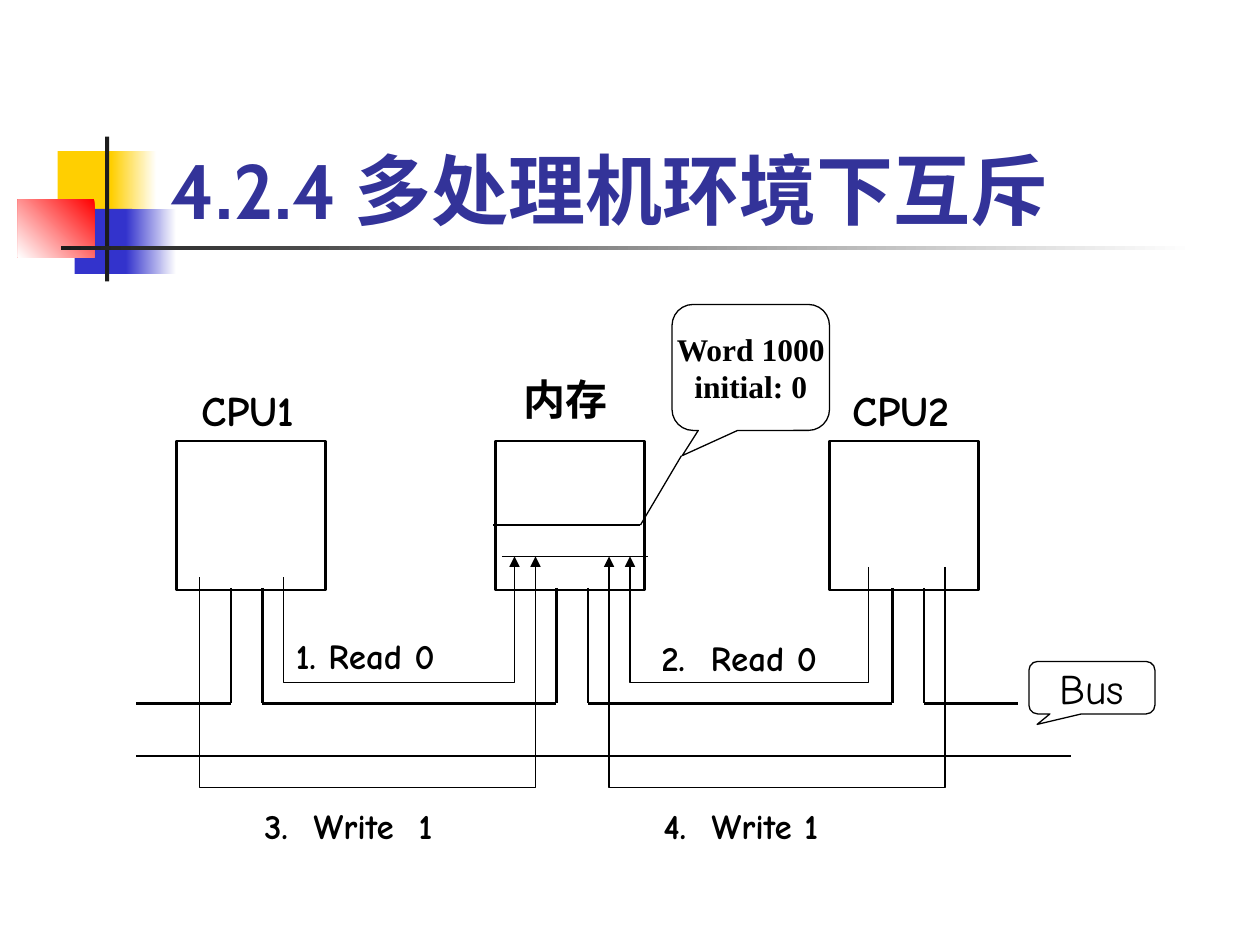
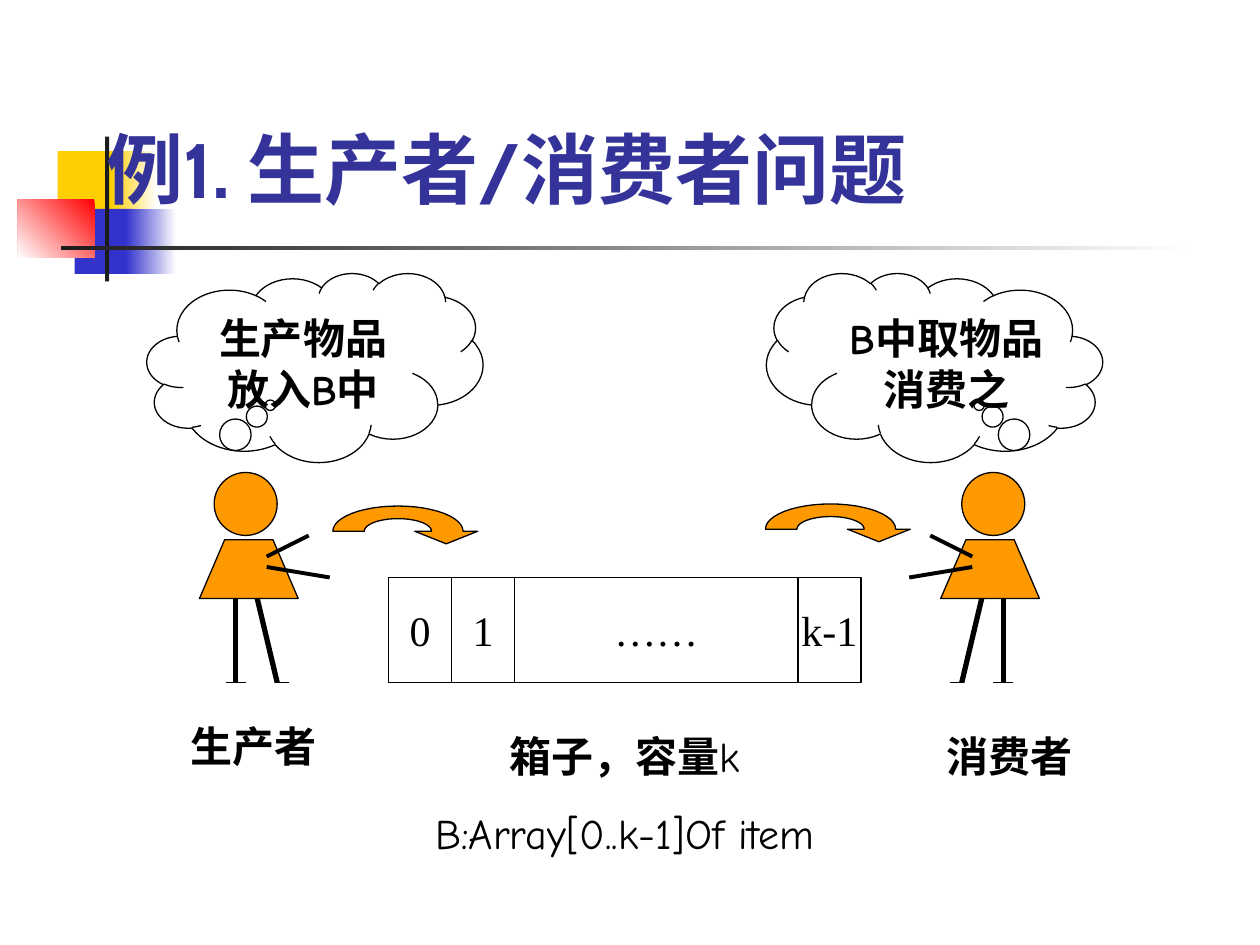
from dataclasses import dataclass
from math import cos, pi, sin

from lxml.etree import SubElement
from pptx import Presentation
from pptx.dml.color import RGBColor
from pptx.enum.shapes import MSO_CONNECTOR, MSO_SHAPE
from pptx.enum.text import MSO_ANCHOR, PP_ALIGN
from pptx.oxml.ns import qn
from pptx.util import Pt

PX = 7620  # EMU per px, 120 px to the inch
BLACK = RGBColor(0x00, 0x00, 0x00)
WHITE = RGBColor(0xFF, 0xFF, 0xFF)
INK = RGBColor(0x1C, 0x1C, 0x1C)
YELLOW = RGBColor(0xFF, 0xCF, 0x01)
BLUE = RGBColor(0x33, 0x33, 0xCC)
RED = RGBColor(0xFF, 0x00, 0x00)
TITLE_COLOUR = RGBColor(0x33, 0x33, 0x99)
ORANGE = RGBColor(0xFF, 0x99, 0x00)
COMIC = "Comic Neue"
TIMES = "Times New Roman"
THIN, BUS, BOX, ARM, LEG = 0.75, 1.25, 1.5, 2.25, 3


@dataclass(frozen=True)
class Area:
    left: int
    top: int
    width: int
    height: int

    def emu(self) -> list[int]:
        return [v * PX for v in (self.left, self.top, self.width, self.height)]


@dataclass(frozen=True)
class Span:
    text: str
    size: int = 24
    name: str = COMIC
    bold: bool = True
    colour: RGBColor = BLACK


@dataclass(frozen=True)
class Motif:
    """One piece of the title decoration; fades to white when angle is given."""
    area: Area
    colour: RGBColor
    angle: int | None = None


@dataclass(frozen=True)
class Label:
    area: Area
    span: Span
    tabs: tuple[int, ...] = ()


MOTIFS = [
    Motif(Area(55, 144, 58, 62), YELLOW),
    Motif(Area(106, 144, 43, 62), YELLOW, 0),
    Motif(Area(71, 199, 55, 62), BLUE),
    Motif(Area(120, 199, 48, 62), BLUE, 0),
    Motif(Area(17, 190, 73, 55), RED, 225),
    Motif(Area(100, 130, 4, 138), INK),
    Motif(Area(58, 234, 1080, 4), INK, 0),
]


def write(frame, paragraphs: list[list[Span]], align=PP_ALIGN.LEFT,
          anchor=MSO_ANCHOR.TOP, wrap=True, gap=0, tabs=()) -> None:
    frame.word_wrap = wrap
    frame.vertical_anchor = anchor
    for index, spans in enumerate(paragraphs):
        para = frame.paragraphs[0] if index == 0 else frame.add_paragraph()
        if tabs:
            tab_list = SubElement(para._p.get_or_add_pPr(), qn("a:tabLst"))
            for tab in tabs:
                SubElement(tab_list, qn("a:tab"), pos=str(tab * PX), algn="l")
        para.alignment = align
        if index and gap:
            para.space_before = Pt(gap)
        for span in spans:
            run = para.add_run()
            run.text = span.text
            values = {"size": Pt(span.size), "name": span.name, "bold": span.bold}
            for key, value in values.items():
                setattr(run.font, key, value)
            run.font.color.rgb = span.colour


def add_text(page, area: Area, paragraphs: list[list[Span]], **layout) -> None:
    write(page.shapes.add_textbox(*area.emu()).text_frame, paragraphs, **layout)


def style(shape, fill: RGBColor | None, width: float | None) -> None:
    shape.shadow.inherit = False
    if fill is None:
        shape.fill.background()
    else:
        shape.fill.solid()
        shape.fill.fore_color.rgb = fill
    if width is None:
        shape.line.fill.background()
    else:
        shape.line.color.rgb = BLACK
        shape.line.width = Pt(width)


def add_block(shapes, kind, area: Area, fill=None, width=THIN, adjust=()):
    shape = shapes.add_shape(kind, *area.emu())
    style(shape, fill, width)
    for index, value in enumerate(adjust):
        shape.adjustments[index] = value
    return shape


def add_line(shapes, start, end, width=THIN) -> None:
    line = shapes.add_connector(MSO_CONNECTOR.STRAIGHT, *[v * PX for v in (*start, *end)])
    line.line.color.rgb = BLACK
    line.line.width = Pt(width)
    SubElement(line.element.spPr, qn("a:effectLst"))


def add_outline(shapes, points, fill=None, close=True):
    (x, y), *rest = [(x * PX, y * PX) for x, y in points]
    builder = shapes.build_freeform(x, y, scale=1.0)
    builder.add_line_segments(rest, close=close)
    shape = builder.convert_to_shape()
    style(shape, fill, THIN)
    return shape


def add_route(page, points) -> None:
    """Draw a bent path with an arrowhead at its last point."""
    shape = add_outline(page.shapes, points, close=False)
    SubElement(shape.element.spPr.find(qn("a:ln")), qn("a:tailEnd"), type="triangle")


def add_callout(page, kind, area: Area, spans: list[Span], adjust, mirrored=False) -> None:
    shape = add_block(page.shapes, kind, area, adjust=adjust)
    if mirrored:
        shape.element.spPr.get_or_add_xfrm().set("flipH", "1")
    write(shape.text_frame, [[span] for span in spans], align=PP_ALIGN.CENTER,
          anchor=MSO_ANCHOR.MIDDLE, wrap=False)


def add_page(deck, title: str, area: Area):
    page = deck.slides.add_slide(deck.slide_layouts[6])
    for motif in MOTIFS:
        shape = add_block(page.shapes, MSO_SHAPE.RECTANGLE, motif.area, motif.colour, None)
        if motif.angle is not None:
            shape.fill.gradient()
            shape.fill.gradient_angle = motif.angle
            for stop, colour in zip(shape.fill.gradient_stops, (motif.colour, WHITE)):
                stop.color.rgb = colour
    add_text(page, area, [[Span(title, 44, "Cabin", True, TITLE_COLOUR)]],
             anchor=MSO_ANCHOR.BOTTOM)
    return page


def build_mutual_exclusion(deck) -> None:
    page = add_page(deck, "4.2.4 多处理机环境下互斥", Area(151, 80, 1022, 150))
    shapes = page.shapes
    for left in (168, 472, 790):
        add_block(shapes, MSO_SHAPE.RECTANGLE, Area(left, 420, 142, 142), WHITE, BOX)
    add_line(shapes, (478, 530), (617, 530))
    add_line(shapes, (470, 500), (610, 500))
    add_line(shapes, (649, 434), (610, 500))

    bus_top, bus_bottom, stub_gap = 670, 720, 30
    stubs = (220, 530, 850)
    for left in stubs:
        for x in (left, left + stub_gap):
            add_line(shapes, (x, 560), (x, bus_top), BUS)
    starts = (130, *[left + stub_gap for left in stubs])
    for start, end in zip(starts, (*stubs, 970)):
        add_line(shapes, (start, bus_top), (end, bus_top), BUS)
    add_line(shapes, (130, bus_bottom), (1020, bus_bottom), BUS)

    for source, top, turn, target in ((270, 550, 650, 490), (190, 550, 750, 510),
                                      (900, 540, 750, 580), (827, 540, 650, 600)):
        add_route(page, [(source, top), (source, turn), (target, turn), (target, 530)])

    pointer = (-0.435, 0.7, 0.167)
    add_callout(page, MSO_SHAPE.ROUNDED_RECTANGULAR_CALLOUT, Area(640, 290, 150, 120),
                [Span("Word 1000", 18, TIMES), Span("initial: 0", 18, TIMES)], pointer)
    add_callout(page, MSO_SHAPE.ROUNDED_RECTANGULAR_CALLOUT, Area(980, 630, 120, 50),
                [Span("Bus", bold=False)], pointer)
    labels = [
        Label(Area(180, 360, 130, 60), Span("CPU1")),
        Label(Area(487, 350, 110, 60), Span("内存", name=TIMES)),
        Label(Area(800, 360, 130, 60), Span("CPU2")),
        Label(Area(270, 598, 230, 53), Span("1. Read 0", 20)),
        Label(Area(618, 600, 212, 53), Span("2.\tRead 0", 20), (47,)),
        Label(Area(240, 760, 250, 53), Span("3.\tWrite\t1", 20), (47, 147)),
        Label(Area(620, 760, 240, 53), Span("4.\tWrite 1", 20), (46,)),
    ]
    for label in labels:
        add_text(page, label.area, [[label.span]], tabs=label.tabs)


def add_person(page, mirrored: bool) -> None:
    shapes = page.shapes.add_group_shape().shapes

    def place(x: int, y: int) -> tuple[int, int]:
        return (1180 - x if mirrored else x), y

    head_left = place(234, 0)[0] - 30
    add_block(shapes, MSO_SHAPE.OVAL, Area(head_left, 450, 60, 60), ORANGE)
    body = [(190, 570), (284, 570), (260, 514), (214, 514)]
    add_outline(shapes, [place(*point) for point in body], ORANGE)
    limbs = [
        ((224, 570), (224, 650), LEG), ((245, 570), (264, 650), LEG),
        ((254, 540), (314, 550), ARM), ((254, 530), (294, 510), ARM),
        ((215, 650), (234, 650), THIN), ((263, 650), (275, 650), THIN),
    ]
    for start, end, width in limbs:
        add_line(shapes, place(*start), place(*end), width)


def add_curved_arrow(page, centre: int, base: int) -> None:
    """Draw a half-ellipse band that ends in a downward arrowhead."""
    steps = 24
    angles = [pi * step / steps for step in range(steps + 1)]
    inner = [(32 * cos(a), -12 * sin(a)) for a in angles]
    outer = [(62 * cos(a), -24 * sin(a)) for a in reversed(angles)]
    head = [(76, 0), (46, 12), (16, 0)]
    add_outline(page.shapes, [(centre + x, base + y) for x, y in inner + outer + head], ORANGE)


def build_producer_consumer(deck) -> None:
    page = add_page(deck, "例1. 生产者/消费者问题", Area(90, 60, 1020, 150))
    left = 370
    for text, width in (("0", 60), ("1", 60), ("……", 270), ("k-1", 60)):
        cell = add_block(page.shapes, MSO_SHAPE.RECTANGLE, Area(left, 550, width, 100))
        write(cell.text_frame, [[Span(text, name=TIMES, bold=False)]],
              align=PP_ALIGN.CENTER, anchor=MSO_ANCHOR.MIDDLE, wrap=False)
        left += width
    add_text(page, Area(360, 690, 470, 133),
             [[Span("箱子，容量"), Span("k", bold=False)],
              [Span("B:Array[0..k-1]Of item", bold=False)]],
             align=PP_ALIGN.CENTER, gap=15)
    add_curved_arrow(page, 379, 506)
    add_curved_arrow(page, 791, 504)
    for area, name in ((Area(170, 680, 150, 60), "生产者"), (Area(890, 690, 150, 60), "消费者")):
        add_text(page, area, [[Span(name, name=TIMES)]])
    for cloud_left, thoughts, mirrored in ((140, ("生产物品", "放入B中"), False),
                                           (730, ("B中取物品", "消费之"), True)):
        add_callout(page, MSO_SHAPE.CLOUD_CALLOUT, Area(cloud_left, 260, 320, 180),
                    [Span(text) for text in thoughts], (-0.133, 0.2), mirrored)
        add_person(page, mirrored)


def main() -> None:
    deck = Presentation()
    deck.slide_width, deck.slide_height = 1200 * PX, 900 * PX
    build_mutual_exclusion(deck)
    build_producer_consumer(deck)
    deck.save("out.pptx")


if __name__ == "__main__":
    main()
